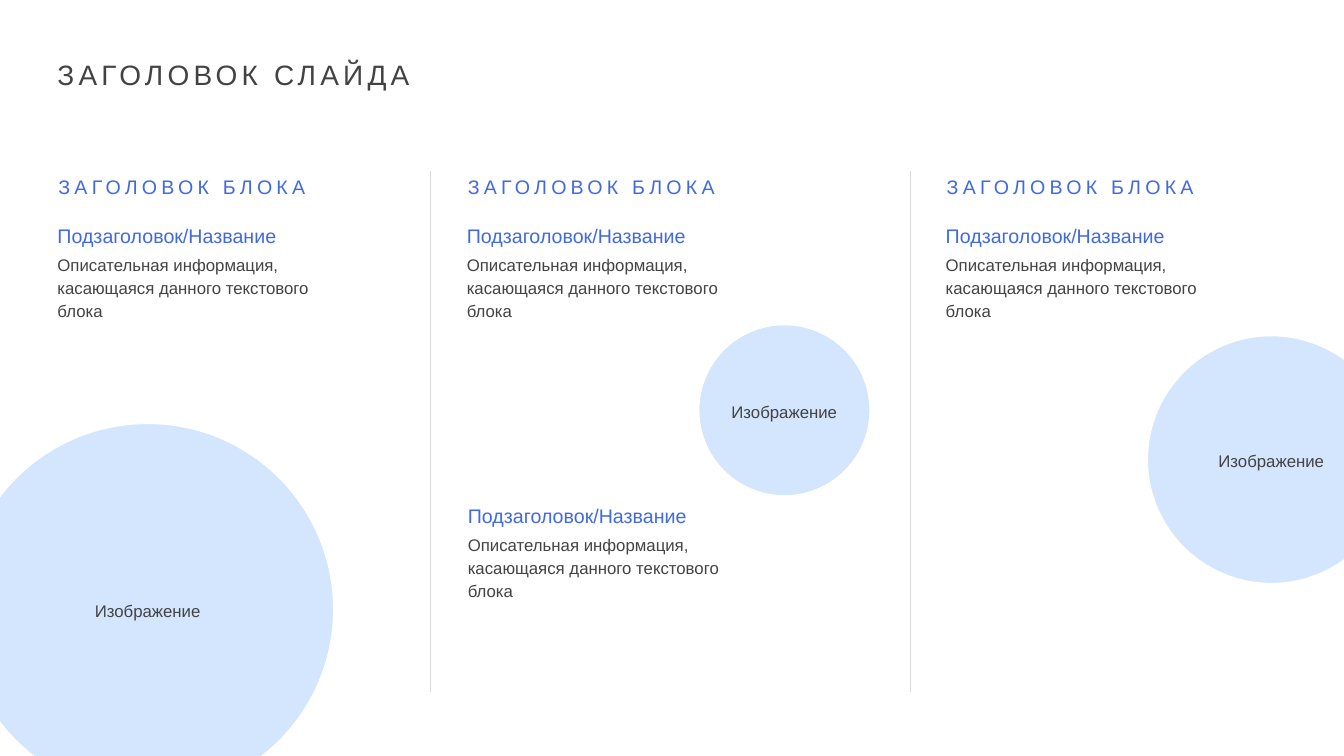
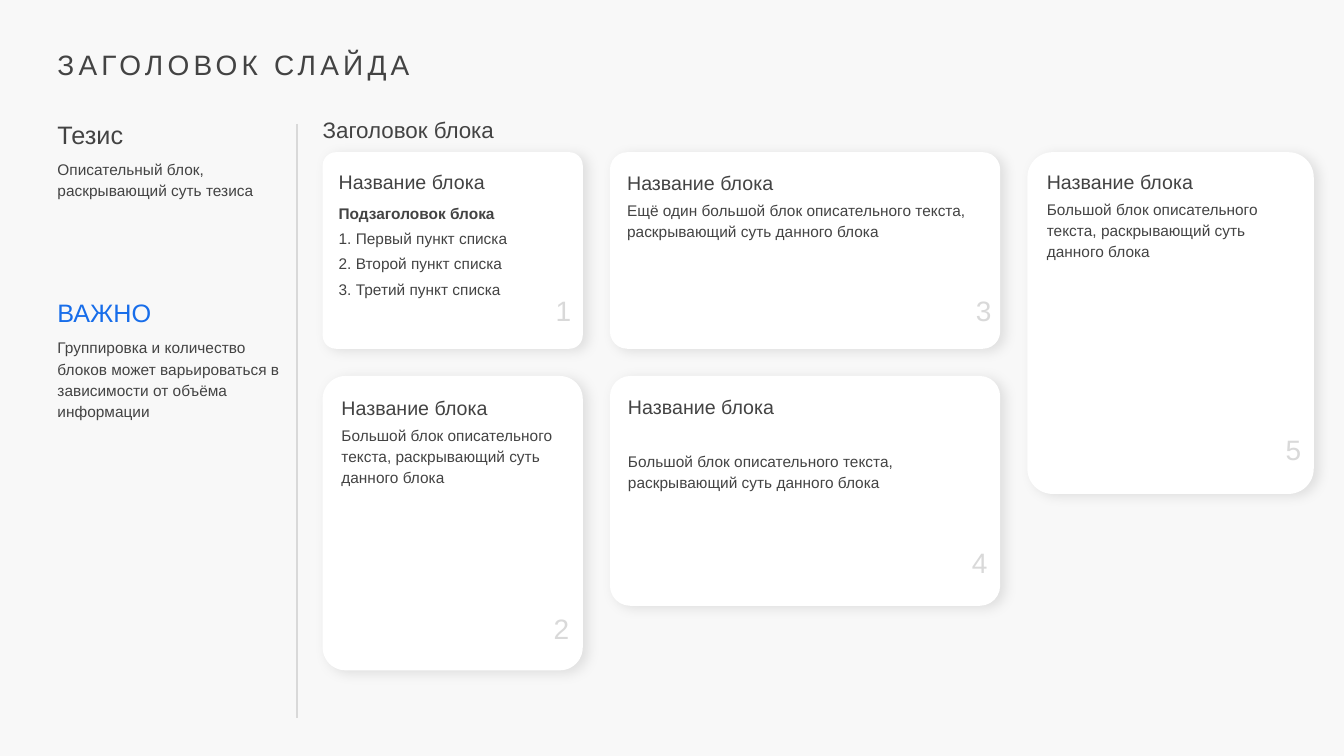
"""Build two template slides: three text columns, and a grid of numbered cards."""
from pptx import Presentation
from pptx.dml.color import RGBColor
from pptx.enum.shapes import MSO_CONNECTOR, MSO_SHAPE
from pptx.enum.text import MSO_ANCHOR, PP_ALIGN
from pptx.oxml import parse_xml
from pptx.oxml.ns import nsdecls, qn
from pptx.oxml.xmlchemy import OxmlElement
from pptx.util import Inches, Pt

FONT = "Arial"
DARK, BLUE, BRIGHT = "434343", "4169E2", "176DEA"
GREY, PALE, WHITE, SMOKE = "D9D9D9", "D4E5FE", "FFFFFF", "F8F8F8"

# style: size, colour, line spacing, letter spacing, bold
STYLES = {
    "title": (20, DARK, 1.15, 3, False),
    "head": (14, BLUE, 1.15, 3, False),
    "sub": (14, BLUE, 1.14, 0, False),
    "text": (12, DARK, 1.14, 0, False),
    "thesis": (18, DARK, 1, 0, False),
    "alert": (18, BRIGHT, 1, 0, False),
    "group": (16, DARK, 1, 0, False),
    "name": (14, DARK, 1.14, 0, False),
    "tight": (14, DARK, 1, 0, False),
    "bold": (11, DARK, 1.14, 0, True),
    "small": (11, DARK, 1.14, 0, False),
    "item": (11, DARK, 1.14, 0, False),
    "digit": (20, GREY, 1.15, 0, False),
}

TITLE = "ЗАГОЛОВОК СЛАЙДА"
HEAD = "ЗАГОЛОВОК БЛОКА"
NAME = "Название блока"
BIG = "Большой блок описательного текста, раскрывающий суть данного блока"

# paragraph: text, style, space before
BLOCK = [
    ("Подзаголовок/Название", "sub", 0),
    ("Описательная информация, касающаяся данного текстового блока", "text", 3),
]
COLUMNS = [0.57, 4.63, 9.38]
RULES = [4.27, 9.03]
CIRCLES = [(-0.38, 4.2, 3.69), (6.93, 3.22, 1.7), (11.38, 3.33, 2.46)]

SIDE = [
    (1.18, 0.8, [
        ("Тезис", "thesis", 0),
        ("Описательный блок, раскрывающий суть тезиса", "small", 6),
    ]),
    (2.95, 1.22, [
        ("ВАЖНО", "alert", 0),
        ("Группировка и количество блоков может варьироваться "
         "в зависимости от объёма информации", "small", 6),
    ]),
]

# column: width, cards; card: height, corner, digit offset from lower right, text
GRID = [
    (2.58, [
        (1.95, 0.068, (0.27, 0.78), [
            (NAME, "name", 0),
            ("Подзаголовок блока", "bold", 6),
            ("Первый пункт списка", "item", 3),
            ("Второй пункт списка", "item", 3),
            ("Третий пункт списка", "item", 3),
        ]),
        (2.92, 0.088, (0.29, 0.81), [(NAME, "name", 0), (BIG, "small", 3)]),
    ]),
    (3.87, [
        (1.95, 0.088, (0.24, 0.78), [
            (NAME, "name", 0),
            ("Ещё один большой блок описательного текста, "
             "раскрывающий суть данного блока", "small", 3),
        ]),
        (2.28, 0.088, (0.28, 0.83), [(NAME, "name", 0), (BIG, "small", 22)]),
    ]),
    (2.84, [
        (3.39, 0.088, (0.28, 0.84), [(NAME, "tight", 0), (BIG, "small", 3)]),
    ]),
]
LEFT, TOP, GAP = 3.2, 1.51, 0.27


def paint(hue):
    return RGBColor.from_string(hue)


def number(par):
    props = par._p.get_or_add_pPr()
    props.set("marL", str(Inches(0.17)))
    props.set("indent", str(-Inches(0.17)))
    mark = OxmlElement("a:buAutoNum")
    mark.set("type", "arabicPeriod")
    props.append(mark)


def write(shape, pars, pad=(0, 0, 0, 0), anchor=MSO_ANCHOR.TOP, align=PP_ALIGN.LEFT):
    frame = shape.text_frame
    frame.word_wrap = True
    frame.vertical_anchor = anchor
    (frame.margin_left, frame.margin_top,
     frame.margin_right, frame.margin_bottom) = map(Inches, pad)
    frame.text = "\n".join(text for text, _, _ in pars)
    for par, (_, style, before) in zip(frame.paragraphs, pars):
        size, hue, line, track, bold = STYLES[style]
        par.alignment = align
        par.line_spacing = line
        if before:
            par.space_before = Pt(before)
        if style == "item":
            number(par)
        for run in par.runs:
            font = run.font
            font.name, font.size, font.bold = FONT, Pt(size), bold
            font.color.rgb = paint(hue)
            if track:
                run._r.get_or_add_rPr().set("spc", str(track * 100))


def add_text(slide, box, pars, anchor=MSO_ANCHOR.TOP):
    write(slide.shapes.add_textbox(*map(Inches, box)), pars, anchor=anchor)


def add_rule(slide, x, top, end, width):
    line = slide.shapes.add_connector(
        MSO_CONNECTOR.STRAIGHT, *map(Inches, (x, top, x, end)))
    line.line.color.rgb = paint(GREY)
    line.line.width = Pt(width)
    line._element.spPr.append(OxmlElement("a:effectLst"))


def add_shape(slide, kind, box, fill):
    shape = slide.shapes.add_shape(kind, *map(Inches, box))
    shape.shadow.inherit = False
    shape.fill.solid()
    shape.fill.fore_color.rgb = paint(fill)
    return shape


def add_circle(slide, x, y, size):
    disc = add_shape(slide, MSO_SHAPE.OVAL, (x, y, size, size), PALE)
    disc.line.color.rgb = paint(WHITE)
    disc.line.width = Pt(1)
    write(disc, [("Изображение", "text", 0)],
          anchor=MSO_ANCHOR.MIDDLE, align=PP_ALIGN.CENTER)


def add_card(slide, box, corner, pars):
    card = add_shape(slide, MSO_SHAPE.ROUNDED_RECTANGLE, box, WHITE)
    card.adjustments[0] = corner
    card.line.fill.background()
    glow = parse_xml(
        f'<a:outerShdw {nsdecls("a")} blurRad="{Pt(9)}" dist="{Pt(3.8)}" '
        f'dir="{28 * 60000}" algn="tl" rotWithShape="0">'
        '<a:srgbClr val="000000"><a:alpha val="9000"/></a:srgbClr></a:outerShdw>')
    card._element.spPr.find(qn("a:effectLst")).append(glow)
    write(card, pars, pad=(0.12, 0.1, 0.08, 0))


def add_slide(deck, back, top):
    slide = deck.slides.add_slide(deck.slide_layouts[6])
    slide.background.fill.solid()
    slide.background.fill.fore_color.rgb = paint(back)
    add_text(slide, (0.57, top, 8.93, 0.39), [(TITLE, "title", 0)])
    return slide


def add_columns(deck):
    slide = add_slide(deck, WHITE, 0.52)
    for x in RULES:
        add_rule(slide, x, 1.7, 6.87, 1.25)
    for x in COLUMNS:
        add_text(slide, (x + 0.01, 1.7, 2.8, 0.27), [(HEAD, "head", 0)])
    for x, y in [(x, 2.19) for x in COLUMNS] + [(COLUMNS[1] + 0.01, 4.97)]:
        add_text(slide, (x, y, 2.76, 0.99), BLOCK)
    for circle in CIRCLES:
        add_circle(slide, *circle)


def add_cards(deck):
    slide = add_slide(deck, SMOKE, 0.42)
    for y, high, pars in SIDE:
        add_text(slide, (0.57, y, 2.32, high), pars)
    add_rule(slide, 2.95, 1.23, 7.12, 1.5)
    add_text(slide, (LEFT, 1.15, 2.64, 0.27),
             [("Заголовок блока", "group", 0)], MSO_ANCHOR.MIDDLE)
    x, count = LEFT, 0
    for wide, cards in GRID:
        y = TOP
        for high, corner, (right, low), pars in cards:
            count += 1
            add_card(slide, (x, y, wide, high), corner, pars)
            add_text(slide, (x + wide - right, y + high - low, 0.49, 0.74),
                     [(str(count), "digit", 0)], MSO_ANCHOR.MIDDLE)
            y += high + GAP
        x += wide + GAP


def main():
    deck = Presentation()
    deck.slide_width, deck.slide_height = Inches(13.33), Inches(7.5)
    add_columns(deck)
    add_cards(deck)
    deck.save("out.pptx")


if __name__ == "__main__":
    main()
